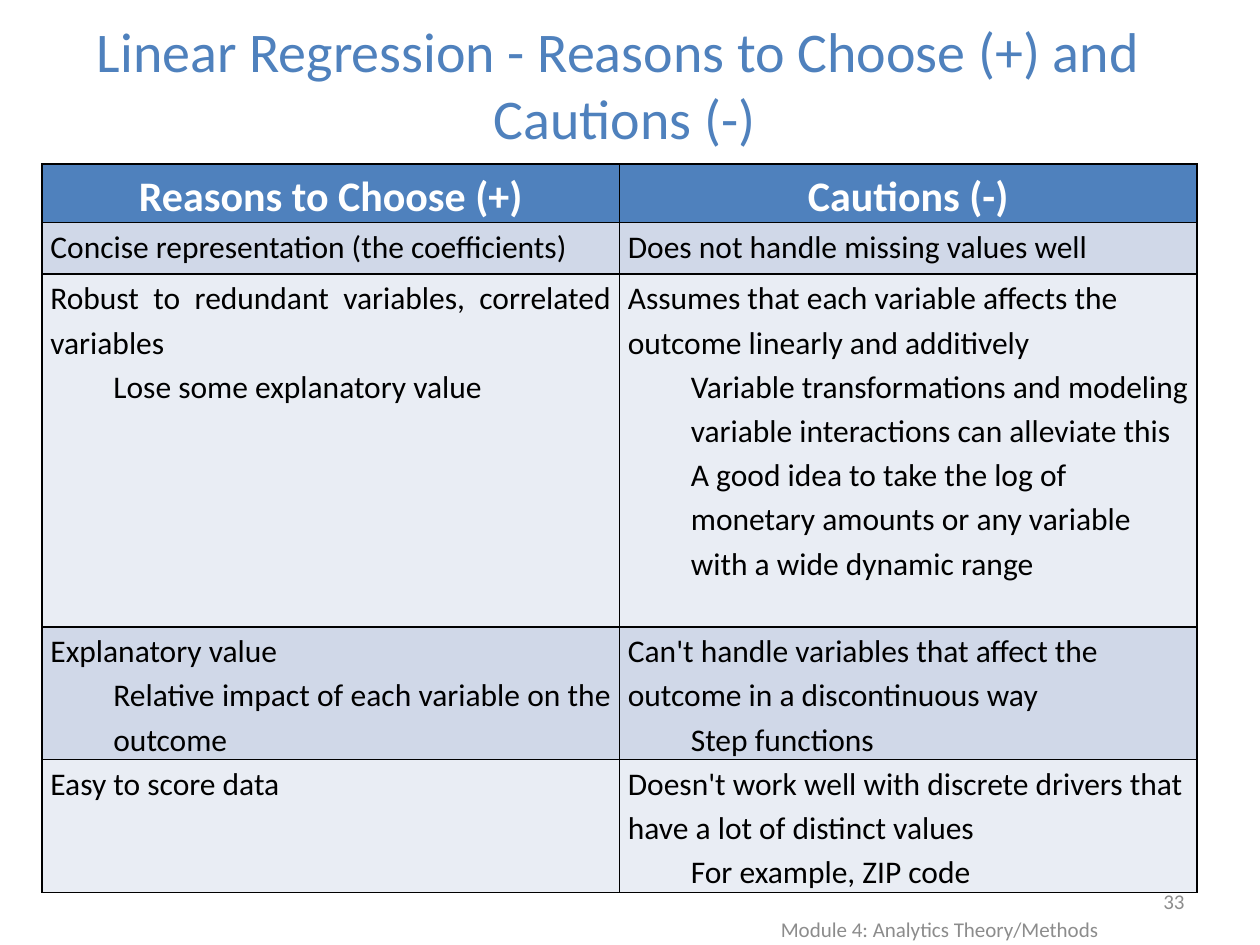
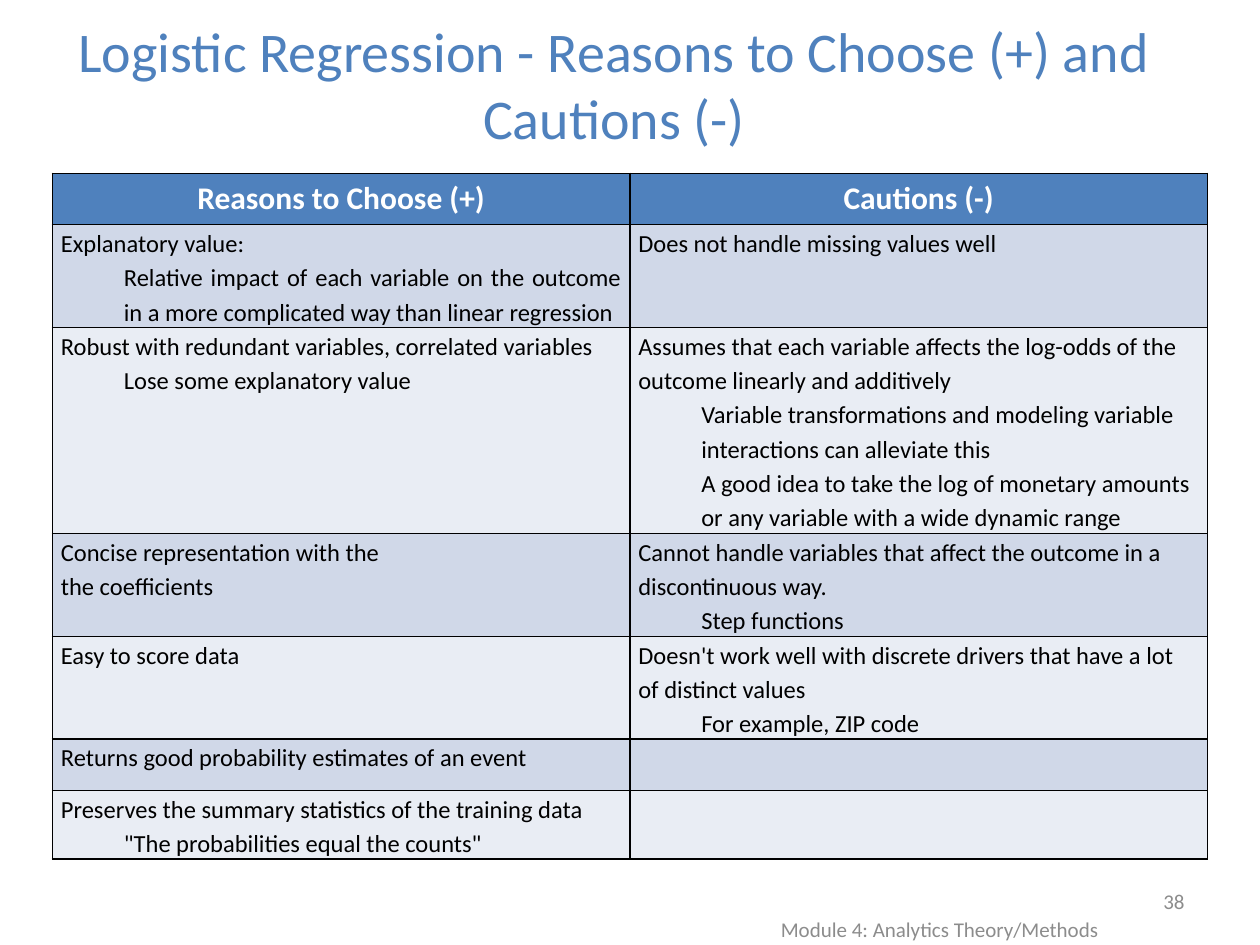
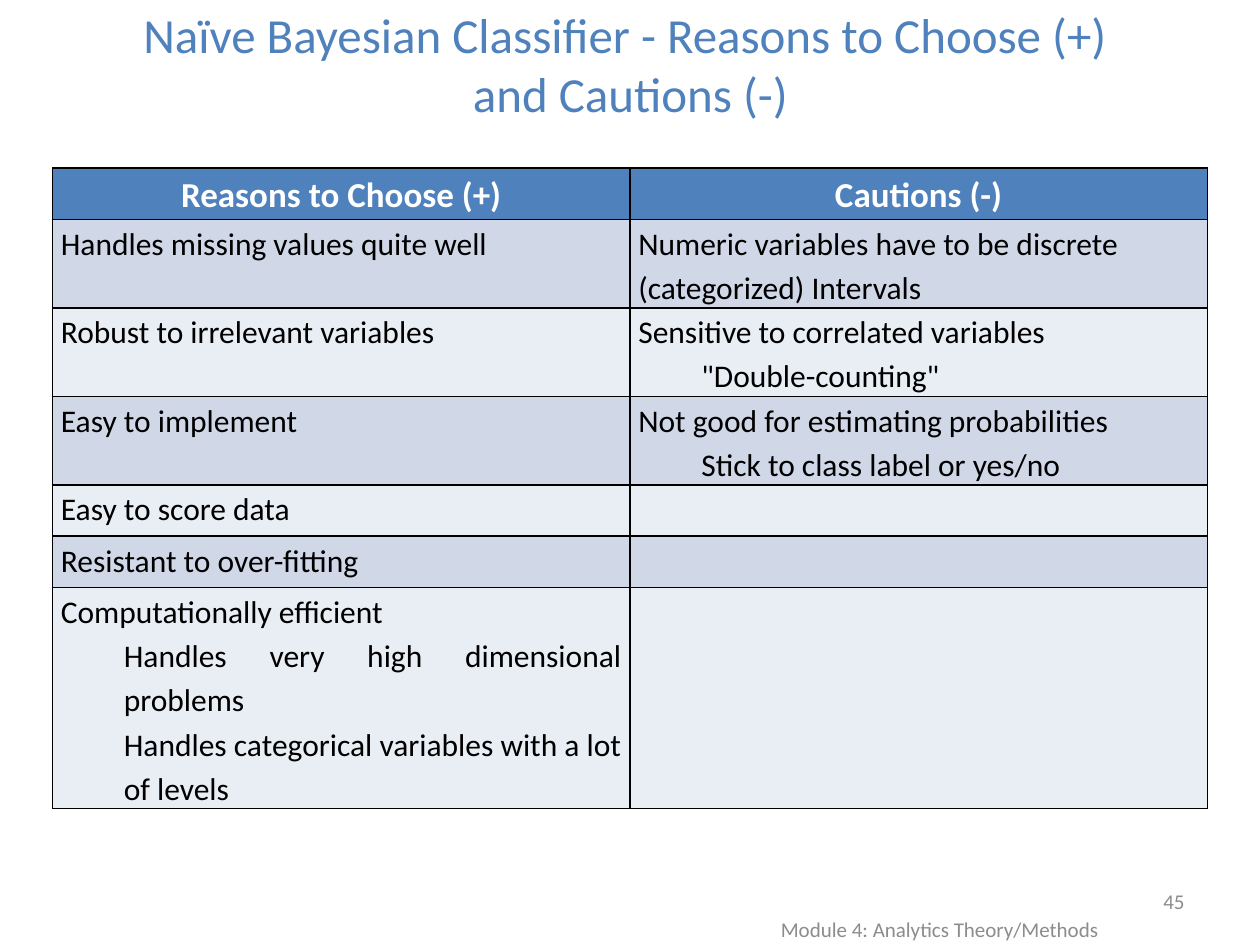
from dataclasses import dataclass

from lxml import etree
from pptx import Presentation
from pptx.dml.color import RGBColor
from pptx.enum.text import MSO_ANCHOR, MSO_AUTO_SIZE, PP_ALIGN
from pptx.oxml.ns import qn
from pptx.util import Pt

LEFT, CENTER, RIGHT, JUSTIFY = PP_ALIGN.LEFT, PP_ALIGN.CENTER, PP_ALIGN.RIGHT, PP_ALIGN.JUSTIFY
MIDDLE = MSO_ANCHOR.MIDDLE
NO_AUTOFIT = MSO_AUTO_SIZE.NONE
TITLE_ONLY = 5
EMU_PER_PX = 7620


@dataclass(frozen=True)
class Theme:
    """Colours, type sizes and spacing that all slides share."""

    font: str = "Calibri"
    accent: str = "4F81BD"
    header_text: str = "FFFFFF"
    body_text: str = "000000"
    footer_text: str = "8C8C8C"
    border: str = "000000"
    bands: tuple = ("D0D8E8", "E9EDF4")
    footer_size: int = 12
    border_width: int = 1
    line_spacing: float = 1.15
    cell_margin: int = 8
    indent: int = 60


THEME = Theme()
SLIDE_SIZE = (1200, 900)
TITLE_SIZE = (1110, 100)
FOOTER_BOX = (620, 870, 550, 30)
NUMBER_BOX = (860, 834, 280, 48)
COLUMN_WIDTH = 550
FOOTER = "Module 4: Analytics Theory/Methods"
HEADINGS = ("Reasons to Choose (+)", "Cautions (-)")

MISSING_VALUES = ("Does not handle missing values well",)
LOSE_VALUE = "Lose some explanatory value"
TRANSFORMATIONS = (
    "Variable transformations and modeling variable interactions can alleviate this",
    "A good idea to take the log of monetary amounts or any variable with a wide dynamic range",
)
DISCRETE_DRIVERS = (
    "Doesn't work well with discrete drivers that have a lot of distinct values",
    "For example, ZIP code",
)
EASY_TO_SCORE = ("Easy to score data",)

SLIDES = (
    {
        "title": "Linear Regression - Reasons to Choose (+) and \vCautions (-)",
        "title_at": (40, 30), "title_size": 32, "number": "33",
        "table_at": (40, 156), "header_size": 24, "body_size": 18,
        "heights": (56, 49, 336, 126, 126),
        "rows": (
            (("Concise representation (the coefficients)",), MISSING_VALUES),
            (("Robust to redundant variables, correlated variables", LOSE_VALUE),
             ("Assumes that each variable affects the outcome linearly and additively",
              *TRANSFORMATIONS)),
            (("Explanatory value", "Relative impact of each variable on the outcome"),
             ("Can't handle variables that affect the outcome in a discontinuous way",
              "Step functions")),
            (EASY_TO_SCORE, DISCRETE_DRIVERS),
        ),
    },
    {
        "title": "Logistic Regression - Reasons to Choose (+) and Cautions (-)",
        "title_at": (30, 30), "title_size": 32, "number": "38",
        "table_at": (50, 165), "header_size": 18, "body_size": 14,
        "heights": (49, 98, 196, 98, 98, 49, 65),
        "rows": (
            (("Explanatory value:",
              "Relative impact of each variable on the outcome in a more complicated way "
              "than linear regression"), MISSING_VALUES),
            (("Robust with redundant variables, correlated variables", LOSE_VALUE),
             ("Assumes that each variable affects the log-odds of the outcome linearly "
              "and additively", *TRANSFORMATIONS)),
            (("Concise representation with the\nthe coefficients",),
             ("Cannot handle variables that affect the outcome in a discontinuous way.",
              "Step functions")),
            (EASY_TO_SCORE, DISCRETE_DRIVERS),
            (("Returns good probability estimates of an event",), ()),
            (("Preserves the summary statistics of the training data",
              '"The probabilities equal the counts"'), ()),
        ),
    },
    {
        "title": "Naïve Bayesian Classifier - Reasons to Choose (+)\v and Cautions (-)",
        "title_at": (40, 10), "title_size": 28, "number": "45",
        "table_at": (50, 160), "header_size": 20, "body_size": 18,
        "heights": (49, 84, 84, 84, 49, 49, 210),
        "rows": (
            (("Handles missing values quite well",),
             ("Numeric variables have to be discrete (categorized) Intervals",)),
            (("Robust to irrelevant variables",),
             ("Sensitive to correlated variables", '"Double-counting"')),
            (("Easy to implement",),
             ("Not good for estimating probabilities", "Stick to class label or yes/no")),
            (EASY_TO_SCORE, ()),
            (("Resistant to over-fitting",), ()),
            (("Computationally efficient", "Handles very high dimensional problems",
              "Handles categorical variables with a lot of levels"), ()),
        ),
    },
)


def px(length):
    """Turn px into EMU."""
    return length * EMU_PER_PX


def set_all(target, values):
    """Set each attribute in a dict of format values."""
    for name, value in values.items():
        setattr(target, name, value)


def format_paragraph(paragraph, size, color, alignment, bold=False):
    """Align a paragraph and style its runs."""
    paragraph.alignment = alignment
    for run in paragraph.runs:
        set_all(run.font, {"name": THEME.font, "size": Pt(size), "bold": bold})
        run.font.color.rgb = RGBColor.from_string(color)


def fill_text(shape, text, size, color, alignment):
    """Write one middle-anchored paragraph into a shape."""
    frame = shape.text_frame
    set_all(frame, {"word_wrap": True, "auto_size": NO_AUTOFIT, "vertical_anchor": MIDDLE})
    paragraph = frame.paragraphs[0]
    paragraph.text = text
    format_paragraph(paragraph, size, color, alignment)


def add_title(slide, text, box, size):
    """Place and format the title placeholder."""
    title = slide.shapes.title
    set_all(title, dict(zip(("left", "top", "width", "height"), map(px, box))))
    fill_text(title, text, size, THEME.accent, CENTER)


def add_footer(slide, number):
    """Add the module name and the page number."""
    for box, text, alignment in ((FOOTER_BOX, FOOTER, CENTER), (NUMBER_BOX, number, RIGHT)):
        shape = slide.shapes.add_textbox(*map(px, box))
        fill_text(shape, text, THEME.footer_size, THEME.footer_text, alignment)


def style_cell(cell, color):
    """Give a cell its margins, borders and fill."""
    set_all(cell, {"margin_left": px(THEME.cell_margin), "margin_right": px(THEME.cell_margin),
                   "margin_top": 0, "margin_bottom": 0})
    properties = cell._tc.get_or_add_tcPr()
    for side in ("a:lnL", "a:lnR", "a:lnT", "a:lnB"):
        line = etree.SubElement(properties, qn(side), w=str(Pt(THEME.border_width)))
        solid = etree.SubElement(line, qn("a:solidFill"))
        etree.SubElement(solid, qn("a:srgbClr"), val=THEME.border)
    cell.fill.solid()
    cell.fill.fore_color.rgb = RGBColor.from_string(color)


def fill_cell(cell, content, size, color, alignment, bold=False):
    """Write the main point of a cell, then its indented sub-points."""
    if not content:
        return
    main_lines = content[0].split("\n")
    lines = [*main_lines, *content[1:]]
    cell.text = "\n".join(lines)
    for index, paragraph in enumerate(cell.text_frame.paragraphs):
        paragraph.line_spacing = THEME.line_spacing
        format_paragraph(paragraph, size, color, alignment, bold)
        if index >= len(main_lines):
            paragraph._p.get_or_add_pPr().set("marL", str(px(THEME.indent)))


def add_comparison(slide, position, heights, rows, header_size, body_size):
    """Add the table of reasons and cautions."""
    columns = len(HEADINGS)
    box = (*position, columns * COLUMN_WIDTH, sum(heights))
    table = slide.shapes.add_table(len(heights), columns, *map(px, box)).table
    for row, height in zip(table.rows, heights):
        row.height = px(height)
    for column, heading in enumerate(HEADINGS):
        cell = table.cell(0, column)
        style_cell(cell, THEME.accent)
        fill_cell(cell, (heading,), header_size, THEME.header_text, CENTER, True)
    for row, contents in enumerate(rows, 1):
        band = THEME.bands[(row - 1) % len(THEME.bands)]
        for column, (content, alignment) in enumerate(zip(contents, (JUSTIFY, LEFT))):
            cell = table.cell(row, column)
            style_cell(cell, band)
            fill_cell(cell, content, body_size, THEME.body_text, alignment)


def add_comparison_slide(presentation, page):
    """Add one slide with title, comparison table and footer."""
    slide = presentation.slides.add_slide(presentation.slide_layouts[TITLE_ONLY])
    add_title(slide, page["title"], (*page["title_at"], *TITLE_SIZE), page["title_size"])
    add_comparison(slide, page["table_at"], page["heights"], page["rows"],
                   page["header_size"], page["body_size"])
    add_footer(slide, page["number"])


def main():
    """Build and save the presentation."""
    presentation = Presentation()
    set_all(presentation, dict(zip(("slide_width", "slide_height"), map(px, SLIDE_SIZE))))
    for page in SLIDES:
        add_comparison_slide(presentation, page)
    presentation.save("out.pptx")


if __name__ == "__main__":
    main()
